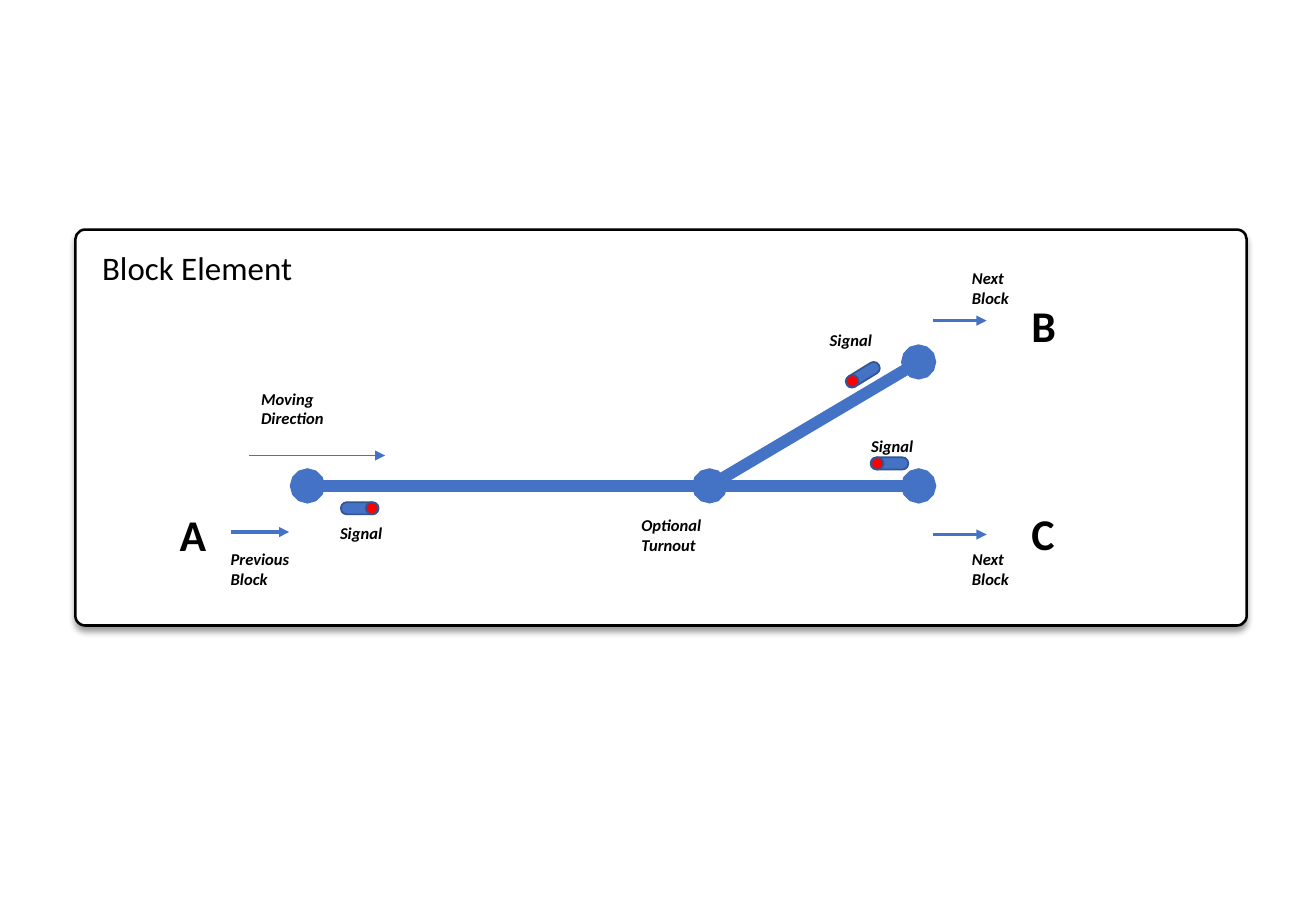
from math import cos, radians, sin

from lxml.etree import SubElement
from pptx import Presentation
from pptx.dml.color import RGBColor
from pptx.enum.shapes import MSO_CONNECTOR as CONN, MSO_SHAPE as SHAPE
from pptx.enum.text import MSO_ANCHOR as ANCHOR, MSO_AUTO_SIZE as AUTOSIZE, PP_ALIGN as ALIGN
from pptx.oxml.ns import qn
from pptx.util import Inches, Pt

CELL = 0.1
BLUE, NAVY, RED, BLACK, WHITE = "4472C4", "325491", "FF0000", "000000", "FFFFFF"


def color(value):
    return RGBColor.from_string(value)


def cells(*values):
    return [Inches(v * CELL) for v in values]


def write(sp, text, size=9.8, bold=True, italic=True, wrap=False):
    tf = sp.text_frame
    tf.word_wrap = wrap
    tf.auto_size = AUTOSIZE.NONE
    tf.vertical_anchor = ANCHOR.TOP
    for i, line in enumerate(text.split("\n")):
        p = tf.paragraphs[0] if i == 0 else tf.add_paragraph()
        p.alignment = ALIGN.LEFT
        r = p.add_run()
        r.text = line
        font = r.font
        font.name, font.size, font.bold, font.italic = "Calibri", Pt(size), bold, italic
        font.color.rgb = color(BLACK)


def add_label(s, box, x, y, w, h, text, **fmt):
    sp = s.shapes.add_textbox(*cells(box[0] + x, box[1] + y, w, h))
    write(sp, text, **fmt)


def add_outlined(s, kind, x, y, w, h, fill, line, width, adj=None, rotation=0):
    sp = s.shapes.add_shape(kind, *cells(x, y, w, h))
    sp.fill.solid()
    sp.fill.fore_color.rgb = color(fill)
    sp.line.color.rgb = color(line)
    sp.line.width = Pt(width)
    sp.shadow.inherit = False
    sp.rotation = rotation
    if adj is not None:
        sp.adjustments[0] = adj
    return sp


def add_line(s, box, start, end, width, head=None, tail=None):
    left, top = box[:2]
    c = s.shapes.add_connector(CONN.STRAIGHT, *cells(
        left + start[0], top + start[1], left + end[0], top + end[1]))
    c.line.color.rgb = color(BLUE)
    c.line.width = Pt(width)
    props = c.element.spPr
    ln = props.find(qn("a:ln"))
    for tag, kind in (("a:headEnd", head), ("a:tailEnd", tail)):
        if kind:
            SubElement(ln, qn(tag), type=kind)
    SubElement(props, qn("a:effectLst"))


def add_panel(s, box):
    sp = add_outlined(s, SHAPE.ROUNDED_RECTANGLE, *box, WHITE, BLACK, 1.5, 0.025)
    effects = sp.element.spPr.find(qn("a:effectLst"))
    shadow = SubElement(effects, qn("a:outerShdw"), blurRad=str(Pt(4)), dist=str(Pt(3)),
                        dir=str(90 * 60000), algn="t", rotWithShape="0")
    tint = SubElement(shadow, qn("a:srgbClr"), val=BLACK)
    SubElement(tint, qn("a:alpha"), val="40000")


def add_title(s, box, text):
    sp = s.shapes.title
    sp.left, sp.top, sp.width, sp.height = cells(box[0] + 1.2, box[1] + 1, 17.8, 4.3)
    write(sp, text, size=19.5, bold=False, italic=False)
    sp.element.getparent().append(sp.element)


def add_signal(s, box, x, y, rotation, label_x, label_y):
    thick, length, reach = 1, 3.1, 1
    cx, cy = box[0] + x, box[1] + y
    angle = radians(rotation)
    lamp_x, lamp_y = cx + reach * sin(angle), cy - reach * cos(angle)
    add_outlined(s, SHAPE.ROUNDED_RECTANGLE, cx - thick / 2, cy - length / 2,
                 thick, length, BLUE, NAVY, 1, 0.48, rotation)
    add_outlined(s, SHAPE.OVAL, lamp_x - thick / 2, lamp_y - thick / 2,
                 thick, thick, RED, NAVY, 1, rotation=rotation)
    add_label(s, box, label_x, label_y, 5.5, 2.7, "Signal")


def add_tracks(s, box):
    entry, turnout, exit_b, exit_c = (19.1, 21.1), (52.2, 21.1), (69.4, 10.9), (69.4, 21.1)
    for start, end in ((entry, exit_c), (turnout, exit_b)):
        add_line(s, box, start, end, 7, head="oval", tail="oval")
    add_label(s, box, 45.6, 23, 6.9, 4.3, "Optional\nTurnout")


def add_directions(s, box):
    for x, y, length, width in ((14.3, 18.6, 11.2, 0.5), (12.8, 24.9, 4.8, 2),
                                (70.6, 25.1, 4.4, 2), (70.6, 7.5, 4.4, 2)):
        add_line(s, box, (x, y), (x + length, y), width, tail="triangle")
    add_label(s, box, 14.3, 12.6, 13, 4.3, "Moving\nDirection", wrap=True)
    for x, y, w, text in ((11.8, 25.8, 7.1, "Previous\nBlock"),
                          (72.8, 25.8, 5.1, "Next\nBlock"),
                          (72.8, 2.7, 5.1, "Next\nBlock")):
        add_label(s, box, x, y, w, 4.3, text)


def add_ends(s, box):
    for x, y, w, letter, wrap in ((7.6, 22.4, 4.2, "A", False),
                                  (77.7, 5.2, 5.1, "B", True),
                                  (77.7, 22.3, 5.1, "C", True)):
        add_label(s, box, x, y, w, 5.4, letter, size=26, italic=False, wrap=wrap)


def add_block_element(s, box):
    add_panel(s, box)
    add_tracks(s, box)
    add_directions(s, box)
    add_title(s, box, "Block Element")
    for signal in ((23.4, 22.95, 90, 20.8, 23.7),
                   (67, 19.25, 270, 64.5, 16.5),
                   (64.8, 11.95, 238.3, 61.1, 7.8)):
        add_signal(s, box, *signal)
    add_ends(s, box)


def main():
    prs = Presentation()
    prs.slide_width, prs.slide_height = cells(108.3, 75)
    s = prs.slides.add_slide(prs.slide_layouts[5])
    add_block_element(s, (6.2, 18.9, 96.4, 32.6))
    prs.save("out.pptx")


if __name__ == "__main__":
    main()
